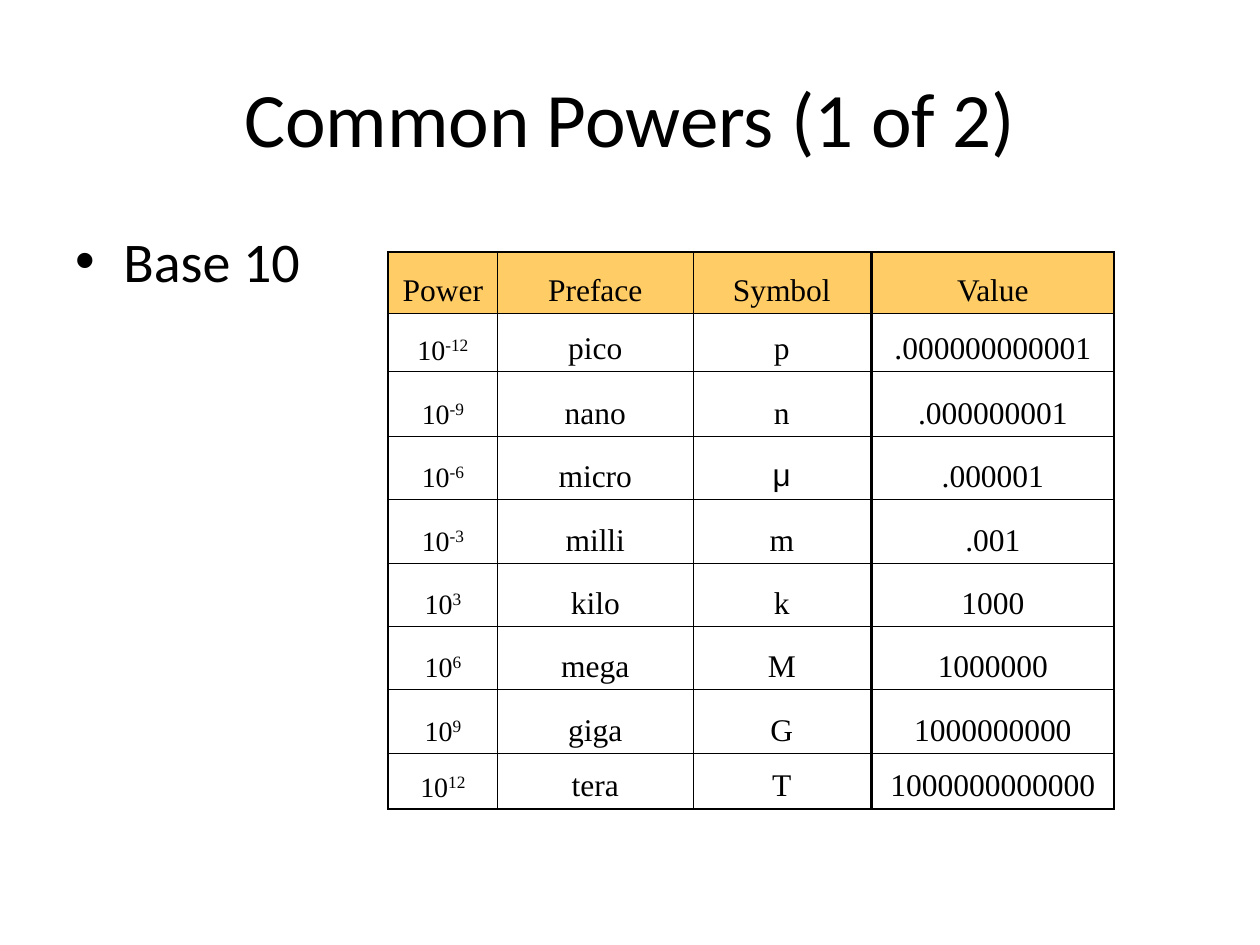
from typing import NamedTuple

from lxml import etree
from pptx import Presentation
from pptx.dml.color import RGBColor
from pptx.enum.text import MSO_ANCHOR, PP_ALIGN
from pptx.oxml.ns import qn
from pptx.util import Inches, Pt

CENTER = PP_ALIGN.CENTER
MIDDLE, BOTTOM = MSO_ANCHOR.MIDDLE, MSO_ANCHOR.BOTTOM
WIDE, HIGH = 10, 7.5
BLACK, GOLD = "000000", "FFCC66"
SERIF, SANS, HEAD = "Times New Roman", "Arial", "Calibri"
THICK, THIN = 1.08, 0.45
ROWS = [0.49, 0.46, 0.51, 0.5, 0.51, 0.5, 0.5, 0.51, 0.44]


class Grid(NamedTuple):
    left: float
    cols: list[float]
    data: list[tuple[str, ...]]


class Power(NamedTuple):
    exp: str
    name: str
    sign: str
    value: str


POWERS = [
    Power("-12", "pico", "p", ".000000000001"),
    Power("-9", "nano", "n", ".000000001"),
    Power("-6", "micro", "μ", ".000001"),
    Power("-3", "milli", "m", ".001"),
    Power("3", "kilo", "k", "1000"),
    Power("6", "mega", "M", "1000000"),
    Power("9", "giga", "G", "1000000000"),
    Power("12", "tera", "T", "1000000000000"),
]
GRIDS = [
    Grid(3.08, [0.87, 1.55, 1.41],
         [("Power", "Preface", "Symbol")]
         + [("10^" + p.exp, p.name, p.sign) for p in POWERS]),
    Grid(6.92, [1.92], [("Value",)] + [(p.value,) for p in POWERS]),
]


def color(code: str) -> RGBColor:
    return RGBColor.from_string(code)


def style(font, size: float, face: str) -> None:
    font.size, font.name = Pt(size), face
    font.color.rgb = color(BLACK)


def place(shape, left: float, top: float, wide: float, high: float) -> None:
    """Take the box as shares of the slide's size."""
    shape.left, shape.top = Inches(left * WIDE), Inches(top * HIGH)
    shape.width, shape.height = Inches(wide * WIDE), Inches(high * HIGH)


def border(cell, sides: dict[str, float]) -> None:
    """Put the lines ahead of the fill, as the schema asks."""
    props = cell._tc.get_or_add_tcPr()
    for spot, (side, width) in enumerate(sides.items()):
        line = etree.Element(qn("a:ln" + side), w=str(Pt(width)))
        fill = etree.SubElement(line, qn("a:solidFill"))
        etree.SubElement(fill, qn("a:srgbClr"), val=BLACK)
        props.insert(spot, line)


def write(cell, text: str) -> None:
    """Fill a cell; what follows a caret is raised."""
    base, _, exp = text.partition("^")
    para = cell.text_frame.paragraphs[0]
    para.alignment, para.line_spacing = CENTER, 0.8
    para.space_before = Pt(0)
    run = para.add_run()
    run.text = base
    if exp:
        style(run.font, 16, SERIF)
        top = para.add_run()
        top.text = exp
        style(top.font, 17, SERIF)
        top._r.get_or_add_rPr().set("baseline", "30000")
    else:
        style(para.font, 18, SANS if text == "μ" else SERIF)
        style(run.font, 18, SANS if text == "μ" else SERIF)


def draw(slide, grid: Grid) -> None:
    frame = slide.shapes.add_table(
        len(ROWS), len(grid.cols), Inches(grid.left), Inches(2),
        Inches(sum(grid.cols)), Inches(sum(ROWS)))
    table = frame.table
    table.first_row = table.horz_banding = False
    for col, width in zip(table.columns, grid.cols):
        col.width = Inches(width)
    for row, height in zip(table.rows, ROWS):
        row.height = Inches(height)
    end_row, end_col = len(ROWS) - 1, len(grid.cols) - 1
    for r, texts in enumerate(grid.data):
        for c, text in enumerate(texts):
            cell = table.cell(r, c)
            cell.vertical_anchor = BOTTOM
            if r == 0:
                cell.fill.solid()
                cell.fill.fore_color.rgb = color(GOLD)
            else:
                cell.fill.background()
            edges = {"L": c == 0, "R": c == end_col,
                     "T": r == 0, "B": r == end_row}
            border(cell, {side: THICK if edge else THIN
                          for side, edge in edges.items()})
            write(cell, text)


def main() -> None:
    deck = Presentation()
    deck.slide_width, deck.slide_height = Inches(WIDE), Inches(HIGH)
    slide = deck.slides.add_slide(deck.slide_layouts[1])

    title = slide.shapes.title
    place(title, 0.05, 0.04, 0.9, 1 / 6)
    title.text_frame.text = "Common Powers (1 of 2)"
    title.text_frame.vertical_anchor = MIDDLE
    para = title.text_frame.paragraphs[0]
    para.alignment = CENTER
    style(para.font, 44, HEAD)

    body = slide.placeholders[1]
    place(body, 0.05, 7 / 30, 0.9, 0.66)
    body.text_frame.text = "Base 10"
    para = body.text_frame.paragraphs[0]
    para.space_before = Pt(0)
    props = para._p.get_or_add_pPr()
    props.set("marL", str(Inches(0.38)))
    props.set("indent", str(Inches(-0.38)))
    etree.SubElement(props, qn("a:buChar"), char="•")
    style(para.font, 32, HEAD)

    for grid in GRIDS:
        draw(slide, grid)
    deck.save("out.pptx")


if __name__ == "__main__":
    main()
